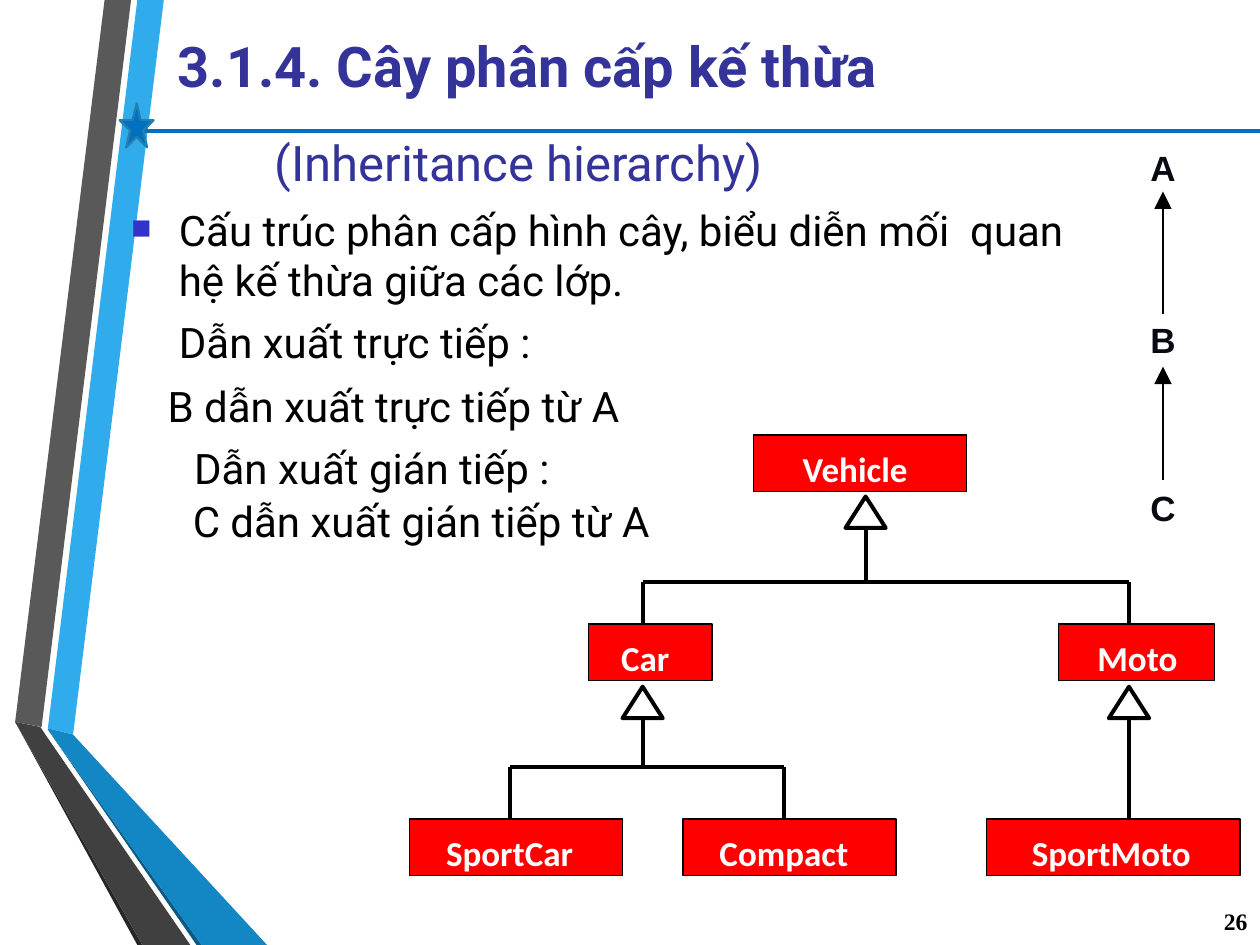
import pptx
import pptx.util
from lxml import etree
from pptx.dml.color import RGBColor
from pptx.enum.shapes import MSO_CONNECTOR, MSO_SHAPE
from pptx.enum.text import MSO_ANCHOR, PP_ALIGN
from pptx.oxml.ns import qn
from pptx.util import Inches, Pt

BLACK = RGBColor(0, 0, 0)
WHITE = RGBColor(255, 255, 255)
RED = RGBColor(255, 0, 0)
HEADING = RGBColor(0x33, 0x33, 0x99)
LETTER = RGBColor(0x08, 0x09, 0x12)
RULE = RGBColor(0x00, 0x70, 0xC0)
STAR_EDGE = RGBColor(0x24, 0x7F, 0xAF)
BULLET = "3333CC"

# Ribbon facets: colour and corners in hundredths of an inch
RIBBON = [
    (RGBColor(0x30, 0xAC, 0xEC), [(38, 578), (58, 583), (130, 0), (109, 0)]),
    (RGBColor(0x59, 0x59, 0x59), [(104, 0), (83, 0), (12, 573), (33, 577)]),
    (RGBColor(0x26, 0x26, 0x26), [(12, 573), (109, 750), (113, 750)]),
    (RGBColor(0x0C, 0x5A, 0x82), [(38, 579), (156, 750), (160, 750)]),
    (RGBColor(0x12, 0x87, 0xC3),
     [(38, 579), (160, 750), (212, 750), (58, 583), (38, 578)]),
    (RGBColor(0x40, 0x40, 0x40),
     [(151, 750), (36, 583), (32, 577), (12, 573), (113, 750)]),
]

# Class boxes: name, left, top, width, text inset
CLASSES = [
    ("Vehicle", 5.98, 3.45, 1.69, 0.39),
    ("Car", 4.67, 4.95, 0.98, 0.26),
    ("Moto", 8.4, 4.95, 1.24, 0.31),
    ("SportCar", 3.25, 6.5, 1.69, 0.29),
    ("Compact", 5.42, 6.5, 1.69, 0.29),
    ("SportMoto", 7.83, 6.5, 2.01, 0.36),
]

# Inheritance links: parent x, triangle top, branch y, child xs, child top
LINKS = [
    (6.87, 3.94, 4.62, [5.1, 8.96], 4.95),
    (5.1, 5.45, 6.09, [4.05, 6.22], 6.5),
    (8.96, 5.45, 6.5, [], 6.5),
]


def style_paragraph(paragraph, size, font, color, bold=False):
    paragraph.font.size = Pt(size)
    paragraph.font.name = font
    paragraph.font.bold = bold
    paragraph.font.color.rgb = color


def set_frame(frame, left=0.0, top=0.01, anchor=MSO_ANCHOR.TOP):
    frame.word_wrap = True
    frame.vertical_anchor = anchor
    frame.margin_left, frame.margin_top = Inches(left), Inches(top)
    frame.margin_right = frame.margin_bottom = 0


def indent(paragraph, left, first=0.0):
    properties = paragraph._p.get_or_add_pPr()
    properties.set("marL", str(Inches(left)))
    properties.set("indent", str(Inches(first)))


def add_bullet(paragraph):
    properties = paragraph._p.get_or_add_pPr()
    color = etree.SubElement(properties, qn("a:buClr"))
    etree.SubElement(color, qn("a:srgbClr"), val=BULLET)
    etree.SubElement(properties, qn("a:buSzPct"), val="59000")
    etree.SubElement(properties, qn("a:buChar"), char="◼")


def add_text(slide, box, lines, size, font, color, bold=False, top=0.02):
    """Each line is (text, left indent, space before in points)."""
    frame = slide.shapes.add_textbox(*map(Inches, box)).text_frame
    set_frame(frame, top=top)
    for number, (text, left, before) in enumerate(lines):
        paragraph = frame.add_paragraph() if number else frame.paragraphs[0]
        paragraph.text = text
        paragraph.space_before = Pt(before)
        indent(paragraph, left)
        style_paragraph(paragraph, size, font, color, bold)
    return frame


def add_line(slide, start, end, width, color=BLACK, arrow=False):
    line = slide.shapes.add_connector(
        MSO_CONNECTOR.STRAIGHT, *map(Inches, (*start, *end)))
    line.line.width = Pt(width)
    line.line.color.rgb = color
    if arrow:
        etree.SubElement(line.line._get_or_add_ln(), qn("a:tailEnd"),
                         type="triangle", w="lg", len="lg")
    etree.SubElement(line._element.spPr, qn("a:effectLst"))


def add_figure(slide, kind, box, fill, edge, width):
    figure = slide.shapes.add_shape(kind, *map(Inches, box))
    figure.shadow.inherit = False
    if fill is None:
        figure.fill.background()
    else:
        figure.fill.solid()
        figure.fill.fore_color.rgb = fill
    figure.line.color.rgb = edge
    figure.line.width = Pt(width)
    return figure


def add_facet(slide, color, corners):
    builder = slide.shapes.build_freeform(*corners[0], scale=Inches(0.01))
    builder.add_line_segments(corners[1:], close=True)
    facet = builder.convert_to_shape()
    facet.shadow.inherit = False
    facet.fill.solid()
    facet.fill.fore_color.rgb = color
    facet.line.fill.background()


def add_class(slide, name, left, top, width, inset):
    box = add_figure(slide, MSO_SHAPE.RECTANGLE, (left, top, width, 0.45),
                     RED, BLACK, 0.96)
    set_frame(box.text_frame, inset, 0.1)
    paragraph = box.text_frame.paragraphs[0]
    paragraph.text = name
    paragraph.alignment = PP_ALIGN.LEFT
    style_paragraph(paragraph, 20, "Calibri", WHITE, True)


def add_link(slide, parent_x, top, branch_y, child_xs, child_top):
    base = top + 0.25
    add_figure(slide, MSO_SHAPE.ISOSCELES_TRIANGLE,
               (parent_x - 0.16, top, 0.32, 0.25), None, BLACK, 2.28)
    add_line(slide, (parent_x, base), (parent_x, branch_y), 2.28)
    if child_xs:
        add_line(slide, (child_xs[0], branch_y), (child_xs[-1], branch_y), 2.28)
    for x in child_xs:
        add_line(slide, (x, branch_y), (x, child_top), 2.28)


def add_title(slide, text):
    title = slide.shapes.title
    title.left, title.top, title.width, title.height = map(
        Inches, (1.41, 0.23, 6.9, 0.56))
    set_frame(title.text_frame, top=0.02, anchor=MSO_ANCHOR.MIDDLE)
    paragraph = title.text_frame.paragraphs[0]
    paragraph.text = text
    paragraph.alignment = PP_ALIGN.LEFT
    style_paragraph(paragraph, 32, "Roboto", HEADING, True)


def main():
    deck = pptx.Presentation()
    deck.slide_width, deck.slide_height = Inches(10), Inches(7.5)
    slide = deck.slides.add_slide(deck.slide_layouts[5])

    # Ribbon, rule and star
    for color, corners in RIBBON:
        add_facet(slide, color, corners)
    add_line(slide, (1.12, 1.04), (10, 1.04), 1.75, RULE)
    add_figure(slide, MSO_SHAPE.STAR_5_POINT, (0.95, 0.82, 0.27, 0.35),
               RULE, STAR_EDGE, 1.25)

    # Headings and page number
    add_title(slide, "3.1.4. Cây phân cấp kế thừa")
    add_text(slide, (2.17, 1.03, 5.42, 0.49),
             [("(Inheritance hierarchy)", 0.01, 0)], 28, "Roboto", HEADING)
    page = add_text(slide, (9.35, 7.1, 0.55, 0.4), [("26", 0, 0)],
                    13.5, "Times New Roman", BLACK, True)
    page.vertical_anchor = MSO_ANCHOR.MIDDLE
    page.paragraphs[0].alignment = PP_ALIGN.RIGHT

    # Explanation
    body = ("Roboto", BLACK)
    definition = add_text(slide, (1.03, 1.6, 7.66, 1.32), [
        ("", 0.39, 0),
        ("Dẫn xuất trực tiếp :", 0.39, 6.7)], 24, *body)
    bulleted = definition.paragraphs[0]
    bulleted._p.remove(bulleted._p.pPr)
    bulleted.text = ("Cấu trúc phân cấp hình cây, biểu diễn mối  quan "
                     "hệ kế thừa giữa các lớp.")
    indent(bulleted, 0.39, -0.38)
    add_bullet(bulleted)
    style_paragraph(bulleted, 24, *body)
    add_text(slide, (0.54, 2.84, 5.01, 1), [
        ("B dẫn xuất trực tiếp từ A", 0.79, 0),
        ("Dẫn xuất gián tiếp :", 1.0, 6.7)], 24, *body, top=0.18)
    add_text(slide, (1.03, 3.91, 4.39, 0.42),
             [("C dẫn xuất gián tiếp từ A", 0.5, 0)], 24, *body)

    # Derivation chain
    for letter, top in (("A", 1.14), ("B", 2.51), ("C", 3.84)):
        add_text(slide, (9.12, top, 0.23, 0.36), [(letter, 0.01, 0)],
                 20, "Arial", LETTER, True)
    for bottom, top in ((2.49, 1.52), (3.81, 2.91)):
        add_line(slide, (9.23, bottom), (9.23, top), 1.5, arrow=True)

    # Class tree
    for link in LINKS:
        add_link(slide, *link)
    for entry in CLASSES:
        add_class(slide, *entry)

    deck.save("out.pptx")


if __name__ == "__main__":
    main()
